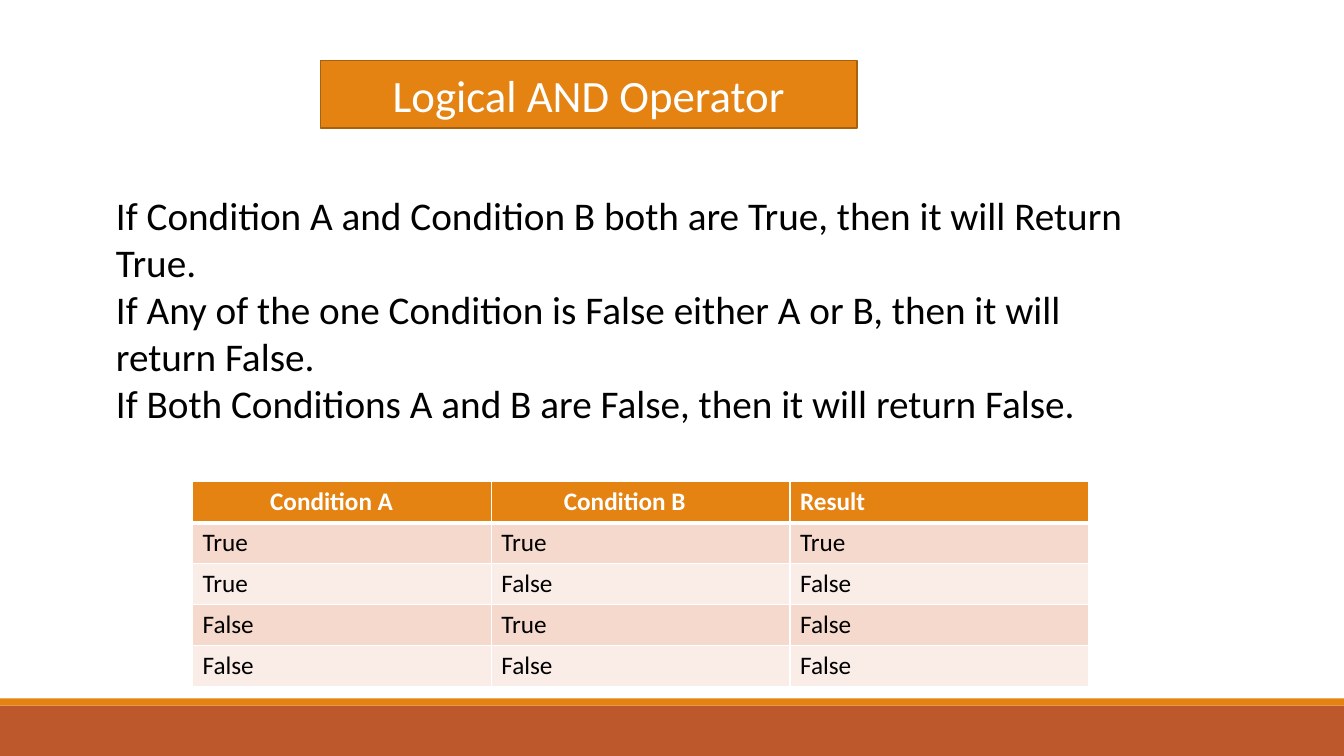
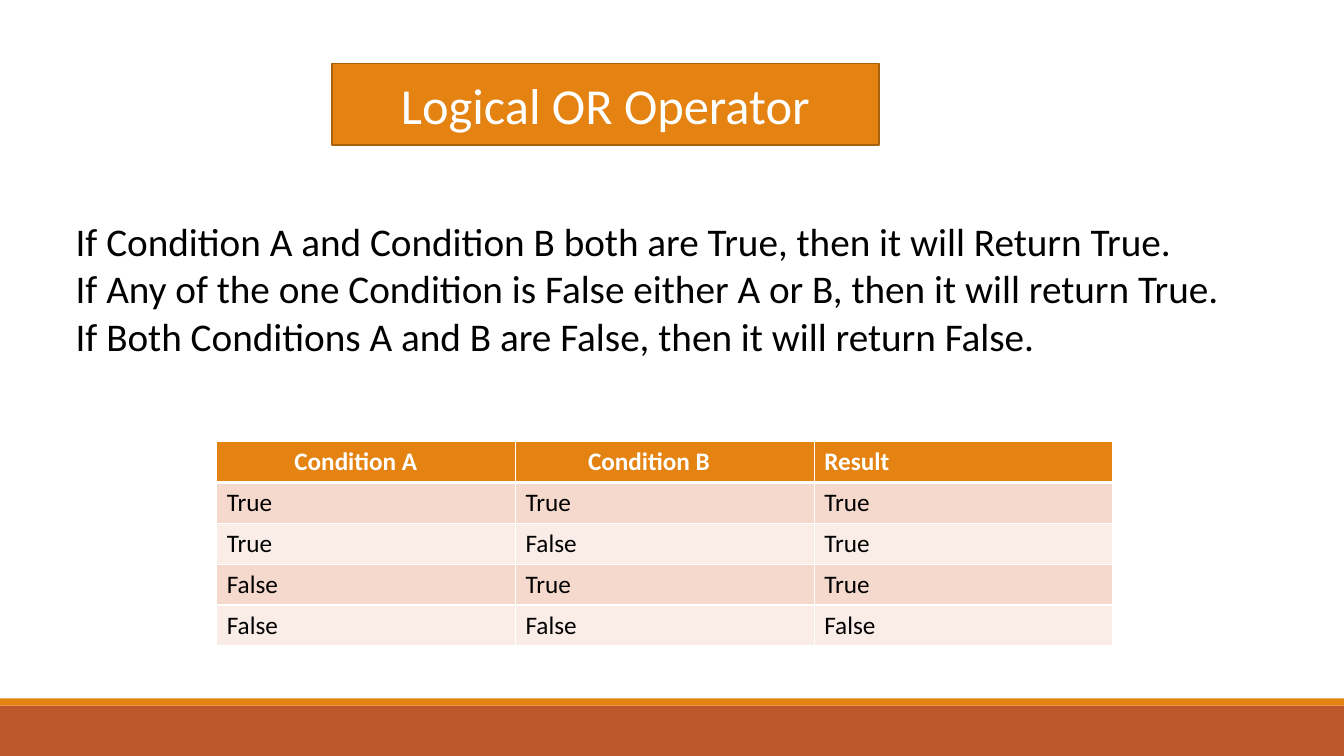
from lxml.etree import SubElement
from pptx import Presentation
from pptx.dml.color import RGBColor
from pptx.enum.shapes import MSO_SHAPE as Preset
from pptx.enum.text import MSO_ANCHOR as Anchor, MSO_AUTO_SIZE as AutoSize, PP_ALIGN as Align
from pptx.oxml.ns import qn
from pptx.util import Inches, Pt

ORANGE, RUST, DARK_ORANGE = "E48312", "BD582C", "A9610D"
PEACH, PALE_PEACH = "F5D9CC", "FAEDE7"
WHITE, BLACK = "FFFFFF", "000000"
HEADINGS = (("Condition A", 0.77), ("Condition B", 0.72), ("Result", 0.1))
INPUTS = (("True", "True"), ("True", "False"), ("False", "True"), ("False", "False"))


def color(value):
    """Turn a hex string into a colour."""
    return RGBColor.from_string(value)


def paint(target, value):
    """Fill a shape or cell with one colour."""
    target.fill.solid()
    target.fill.fore_color.rgb = color(value)


class Deck:
    """Hold the shared style and the current slide."""

    font_name = "Calibri"
    width, height = 13.33, 7.5

    def __init__(self):
        """Start an empty widescreen presentation."""
        self.prs = Presentation()
        self.prs.slide_width = Inches(self.width)
        self.prs.slide_height = Inches(self.height)
        self.slide = None

    def new_slide(self):
        """Add a slide with the footer bands."""
        self.slide = self.prs.slides.add_slide(self.prs.slide_layouts[1])
        self.band(7, 0.5, RUST)
        self.band(6.93, 0.07, ORANGE)

    def band(self, top, height, fill):
        """Draw a band across the slide."""
        band = self.slide.shapes.add_shape(
            Preset.RECTANGLE, 0, Inches(top), Inches(self.width), Inches(height))
        band.shadow.inherit = False
        paint(band, fill)
        band.line.fill.background()

    def style(self, paragraph, size, value, bold=False):
        """Set the font of a paragraph."""
        font = paragraph.font
        font.name, font.size, font.bold = self.font_name, Pt(size), bold
        font.color.rgb = color(value)

    def place(self, holder, box, anchor):
        """Move a placeholder and fix its text frame."""
        holder.left, holder.top, holder.width, holder.height = map(Inches, box)
        frame = holder.text_frame
        frame.word_wrap, frame.auto_size = True, AutoSize.NONE
        frame.vertical_anchor = anchor
        return frame

    def title(self, text, box, size):
        """Write the title on its orange plate."""
        plate = self.slide.shapes.title
        frame = self.place(plate, box, Anchor.MIDDLE)
        paint(plate, ORANGE)
        plate.line.color.rgb = color(DARK_ORANGE)
        plate.line.width = Pt(1.25)
        frame.text = text
        frame.paragraphs[0].alignment = Align.CENTER
        self.style(frame.paragraphs[0], size, WHITE)

    def body(self, rules, box):
        """Write the rules as plain lines in the body."""
        frame = self.place(self.slide.placeholders[1], box, Anchor.TOP)
        frame.text = "\n".join(rules)
        for rule in frame.paragraphs:
            rule.space_before = Pt(0)
            properties = rule._p.get_or_add_pPr()
            properties.set("marL", "0")
            properties.set("indent", "0")
            SubElement(properties, qn("a:buNone"))
            self.style(rule, 28, BLACK)

    def borders(self, cell, row):
        """Draw white cell borders, thicker below the heading."""
        properties = cell._tc.get_or_add_tcPr()
        widths = {"L": 1, "R": 1, "T": 3 if row == 1 else 1, "B": 3 if row == 0 else 1}
        for side, width in widths.items():
            border = SubElement(properties, qn(f"a:ln{side}"), w=str(Pt(width)))
            SubElement(SubElement(border, qn("a:solidFill")), qn("a:srgbClr"), val=WHITE)

    def truth_table(self, results, left, top):
        """Tabulate both conditions with their result."""
        rows = [[heading for heading, _ in HEADINGS]]
        rows += [[*pair, result] for pair, result in zip(INPUTS, results)]
        table = self.slide.shapes.add_table(
            len(rows), len(HEADINGS), Inches(left), Inches(top), Inches(8.89), Inches(2.02)).table
        table.horz_banding = False
        for r, row in enumerate(rows):
            for c, value in enumerate(row):
                cell = table.cell(r, c)
                cell.text = value
                self.borders(cell, r)
                if r == 0:
                    cell.margin_left = Inches(HEADINGS[c][1])
                    paint(cell, ORANGE)
                else:
                    paint(cell, PEACH if r % 2 else PALE_PEACH)
                self.style(cell.text_frame.paragraphs[0], 18, BLACK if r else WHITE, r == 0)


def rules(mixed_result):
    """State the three rules of an operator."""
    return (
        "If Condition A and Condition B both are True, then it will Return True.",
        f"If Any of the one Condition is False either A or B, then it will return {mixed_result}.",
        "If Both Conditions A and B are False, then it will return False.",
    )


def main():
    """Build and save both slides."""
    deck = Deck()

    deck.new_slide()
    deck.title("Logical AND Operator", (3.18, 0.6, 5.32, 0.67), 32)
    deck.body(rules("False"), (1.05, 1.85, 10.62, 2.93))
    deck.truth_table(("True", "False", "False", "False"), 1.91, 4.78)

    deck.new_slide()
    deck.title("Logical OR Operator", (3.29, 0.63, 5.43, 0.81), 36)
    deck.body(rules("True"), (0.65, 2.11, 11.65, 1.51))
    deck.truth_table(("True", "True", "True", "False"), 2.15, 4.38)

    deck.prs.save("out.pptx")


if __name__ == "__main__":
    main()
